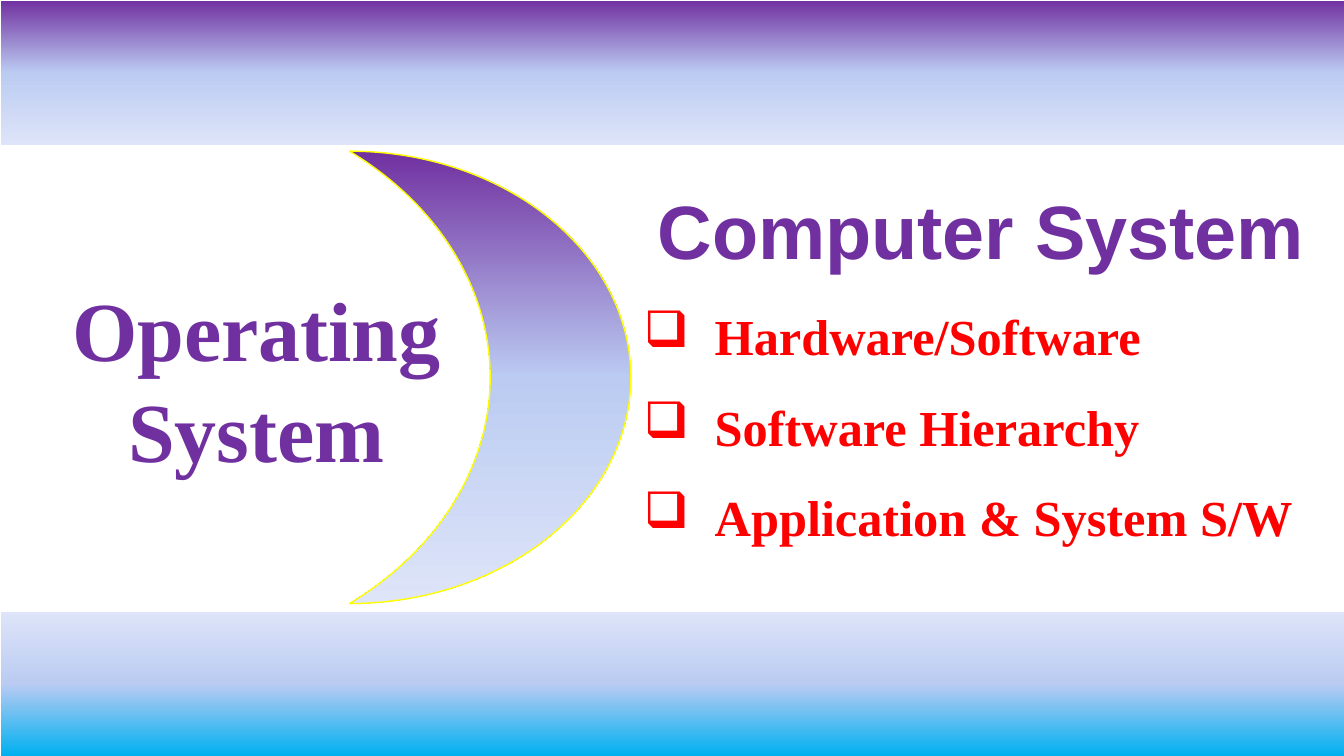
from copy import deepcopy

from lxml import etree
from pptx import Presentation
from pptx import util as u
from pptx.dml.color import RGBColor
from pptx.enum import shapes, text
from pptx.oxml.ns import qn

COLORS = {
    "purple": "7030A0",
    "sky": "00B0F0",
    "mid": "BBCBF2",
    "pale": "DEE5F8",
    "white": "FFFFFF",
    "yellow": "FFFF00",
    "red": "FF0000",
}


def rgb(name):
    return RGBColor.from_string(COLORS[name])


def set_font(p, name, size, color):
    p.font.name, p.font.size, p.font.bold = name, u.Pt(size), True
    p.font.color.rgb = rgb(color)


prs = Presentation()
prs.slide_width, prs.slide_height = u.Cm(33.87), u.Cm(19.05)
s = prs.slides.add_slide(prs.slide_layouts[5])

# Top band, crescent and bottom band, each fading to pale blue
RECT, MOON = shapes.MSO_SHAPE.RECTANGLE, shapes.MSO_SHAPE.MOON
PANELS = [
    (RECT, 0, 0, 33.87, 3.66, "purple", 90, "white", 0.25),
    (MOON, 8.81, 3.81, 7.09, 11.4, "purple", 90, "yellow", 1),
    (RECT, 0, 15.39, 33.87, 3.66, "sky", 270, "white", 0.25),
]
for kind, x, y, w, h, start, angle, line, width in PANELS:
    sp = s.shapes.add_shape(kind, u.Cm(x), u.Cm(y), u.Cm(w), u.Cm(h))
    sp.shadow.inherit = False
    sp.line.color.rgb = rgb(line)
    sp.line.width = u.Pt(width)
    sp.fill.gradient()
    sp.fill.gradient_angle = 360 - angle  # python-pptx counts anticlockwise
    stops = sp._element.spPr.find(qn("a:gradFill")).find(qn("a:gsLst"))
    stops.append(deepcopy(stops[-1]))
    for stop, color, pos in zip(sp.fill.gradient_stops, (start, "mid", "pale"), (0, 0.5, 1)):
        stop.color.rgb = rgb(color)
        stop.position = pos
    if kind == MOON:
        sp._element.spPr.find(qn("a:xfrm")).set("flipH", "1")

# Slide title
title = s.shapes.title
title.left, title.top, title.width, title.height = u.Cm(1.55), u.Cm(6.86), u.Cm(9.83), u.Cm(5.38)
tf = title.text_frame
tf.text = "Operating System"
tf.word_wrap = True
tf.auto_size = text.MSO_AUTO_SIZE.NONE
tf.vertical_anchor = text.MSO_ANCHOR.TOP
p = tf.paragraphs[0]
p.alignment = text.PP_ALIGN.CENTER
set_font(p, "Times New Roman", 60, "purple")

# Heading with topics
tf = s.shapes.add_textbox(u.Cm(15.98), u.Cm(4.34), u.Cm(17.48), u.Cm(9.5)).text_frame
tf.word_wrap = True
tf.margin_top = u.Cm(0.3)
p = tf.paragraphs[0]
p.text = "Computer System"
p.alignment = text.PP_ALIGN.CENTER
set_font(p, "Arial", 54, "purple")

for topic in ("Hardware/Software", "Software Hierarchy", "Application & System S/W"):
    p = tf.add_paragraph()
    p.text = topic
    p.line_spacing = 1.5
    set_font(p, "Times New Roman", 36, "red")
    pPr = p._p.get_or_add_pPr()
    pPr.set("marL", str(u.Cm(1.78)))
    pPr.set("indent", str(-u.Cm(1.78)))
    bullet = etree.Element(qn("a:buChar"), char="❑")
    pPr.find(qn("a:defRPr")).addprevious(bullet)

prs.save("out.pptx")
